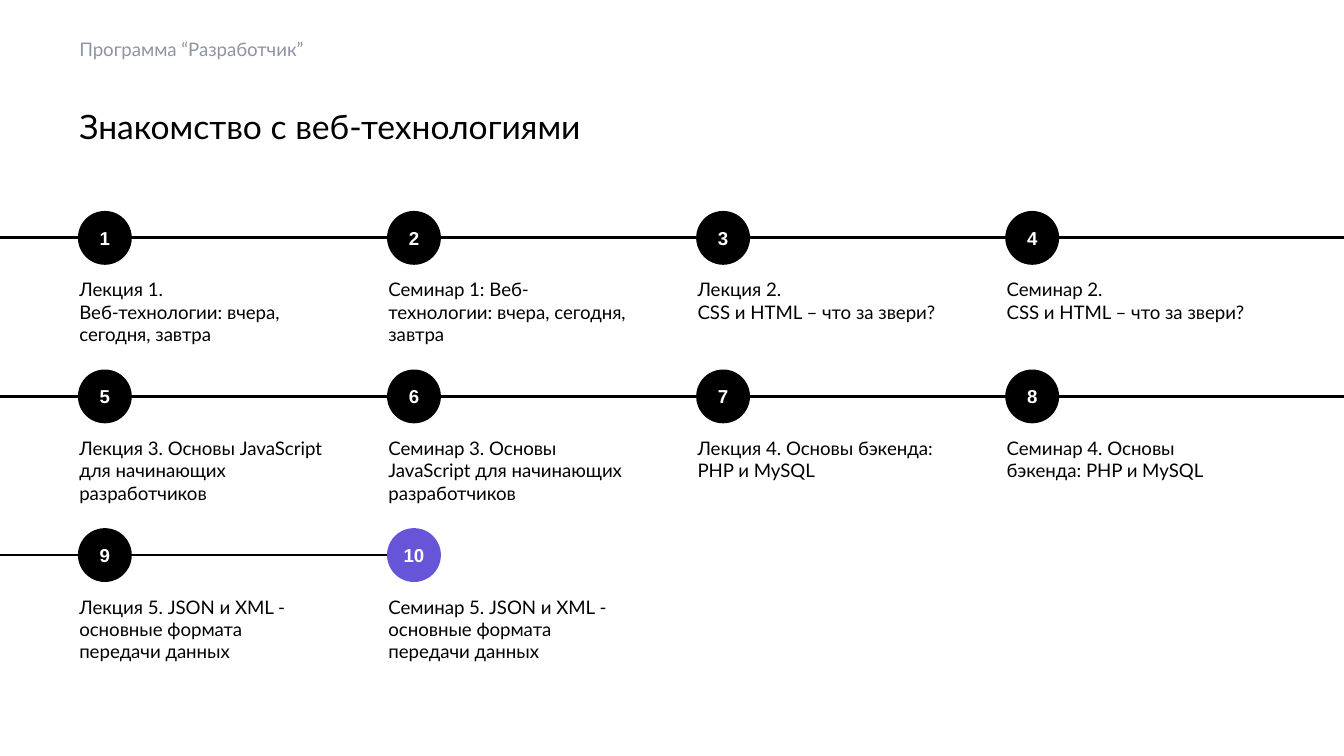
"""Build the course programme slide: a numbered timeline of lectures and seminars."""
from lxml.etree import SubElement
from pptx import Presentation
from pptx.dml.color import RGBColor
from pptx.enum.shapes import MSO_CONNECTOR, MSO_SHAPE
from pptx.enum.text import MSO_ANCHOR as Anchor, MSO_AUTO_SIZE as AutoSize, PP_ALIGN as Align
from pptx.oxml.ns import qn
from pptx.util import Inches, Pt

PROGRAMME = "Программа “Разработчик”"
TITLE = "Знакомство с веб-технологиями"
LESSONS = [
    "Лекция 1. \nВеб-технологии: вчера, сегодня, завтра",
    "Семинар 1: Веб-технологии: вчера, сегодня, завтра",
    "Лекция 2. \nCSS и HTML – что за звери?",
    "Семинар 2. \nCSS и HTML – что за звери?",
    "Лекция 3. Основы JavaScript для начинающих разработчиков",
    "Семинар 3. Основы JavaScript для начинающих разработчиков",
    "Лекция 4. Основы бэкенда: PHP и MySQL",
    "Семинар 4. Основы бэкенда: PHP и MySQL",
    "Лекция 5. JSON и XML - основные формата передачи данных",
    "Семинар 5. JSON и XML - основные формата передачи данных",
]
COLORS = {"ink": "000000", "paper": "FFFFFF", "muted": "8F93A3", "accent": "6654D9"}

PAGE_WIDTH = 10
PAGE_HEIGHT = PAGE_WIDTH * 9 / 16
LEFT, TOP = 0.59, 1.58
COLUMNS, COLUMN_STEP, ROW_STEP = 4, 2.3, 1.18
CIRCLE, LESSON_OFFSET = 0.38, 0.39
LESSON_WIDTH, LESSON_HEIGHT = 1.91, 0.71

LESSON_FONT = {"name": "Lato", "size": Pt(10), "bold": False}
TITLE_FONT = {"name": "Lato", "size": Pt(18), "bold": False}
NUMBER_FONT = {"name": "Arial", "size": Pt(10), "bold": True}


def color(name):
    return RGBColor.from_string(COLORS[name])


def place(shape, left, top, width, height):
    for name, value in zip(("left", "top", "width", "height"), (left, top, width, height)):
        setattr(shape, name, Inches(value))


def write(shape, text, font, ink, insets=(0, 0, 0, 0), anchor=Anchor.TOP, align=Align.LEFT):
    frame = shape.text_frame
    left, top, right, bottom = map(Inches, insets)
    layout = {"margin_left": left, "margin_top": top, "margin_right": right,
              "margin_bottom": bottom, "word_wrap": True, "auto_size": AutoSize.NONE,
              "vertical_anchor": anchor}
    for name, value in layout.items():
        setattr(frame, name, value)
    para = frame.paragraphs[0]
    para.text = text
    para.alignment, para.space_before = align, Pt(0)
    for span in para.runs:
        for name, value in font.items():
            setattr(span.font, name, value)
        span.font.color.rgb = color(ink)


def add_segment(page, start, end, height):
    line = page.shapes.add_connector(MSO_CONNECTOR.STRAIGHT, Inches(start), Inches(height),
                                     Inches(end), Inches(height))
    line.line.color.rgb = color("ink")
    line.line.width = Pt(1.5)
    SubElement(line._element.spPr, qn("a:effectLst"))


def add_lesson(page, index, text):
    row, column = divmod(index, COLUMNS)
    left, top = LEFT + column * COLUMN_STEP, TOP + row * ROW_STEP
    middle = top + CIRCLE / 2
    add_segment(page, left - COLUMN_STEP + CIRCLE if column else 0, left, middle)
    if column == COLUMNS - 1:
        add_segment(page, left + CIRCLE, PAGE_WIDTH, middle)

    fill = "accent" if index == len(LESSONS) - 1 else "ink"
    circle = page.shapes.add_shape(MSO_SHAPE.OVAL, Inches(left), Inches(top),
                                   Inches(CIRCLE), Inches(CIRCLE))
    circle.shadow.inherit = False
    circle.fill.solid()
    circle.fill.fore_color.rgb = circle.line.color.rgb = color(fill)
    circle.line.width = Pt(1.5)
    write(circle, str(index + 1), NUMBER_FONT, "paper", anchor=Anchor.MIDDLE, align=Align.CENTER)

    box = page.shapes.add_textbox(Inches(left), Inches(top + LESSON_OFFSET),
                                  Inches(LESSON_WIDTH), Inches(LESSON_HEIGHT))
    write(box, text, LESSON_FONT, "ink", insets=(0, 0.1, 0.1, 0.1))


def main():
    deck = Presentation()
    deck.slide_width, deck.slide_height = Inches(PAGE_WIDTH), Inches(PAGE_HEIGHT)
    page = deck.slides.add_slide(deck.slide_layouts[0])
    title, subtitle = page.placeholders
    place(title, LEFT, 0.79, 8.82, 0.35)
    write(title, TITLE, TITLE_FONT, "ink")
    place(subtitle, LEFT, 0.17, 8.82, 0.39)
    write(subtitle, PROGRAMME, LESSON_FONT, "muted", insets=(0, 0.04, 0, 0.04),
          anchor=Anchor.MIDDLE)
    for index, text in enumerate(LESSONS):
        add_lesson(page, index, text)
    deck.save("out.pptx")


if __name__ == "__main__":
    main()
